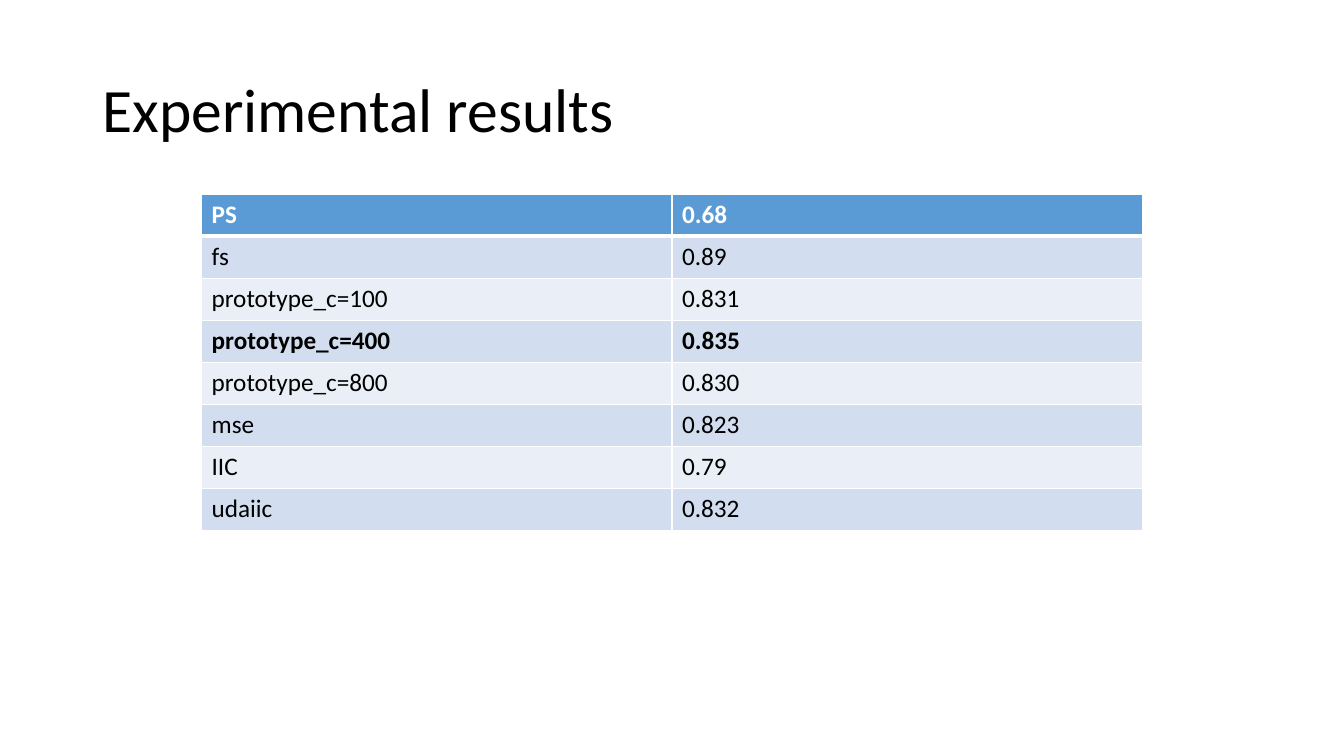
import pptx
import pptx.dml.color
import pptx.enum.text
import pptx.oxml
import pptx.oxml.ns
import pptx.util

PX = 9525  # EMU per pixel at 96 pixels to the inch
FONT = "Calibri"
RESULTS = [
    ("PS", "0.68"),
    ("fs", "0.89"),
    ("prototype_c=100", "0.831"),
    ("prototype_c=400", "0.835"),
    ("prototype_c=800", "0.830"),
    ("mse", "0.823"),
    ("IIC", "0.79"),
    ("udaiic", "0.832"),
]
BEST = "prototype_c=400"
COLUMN_WIDTH, ROW_HEIGHT = 448, 40


def color(value):
    return pptx.dml.color.RGBColor.from_string(value)


def add_run(para, text, size, value, bold=False):
    span = para.add_run()
    span.text = text
    span.font.name = FONT
    span.font.size = pptx.util.Pt(size)
    span.font.bold = bold
    span.font.color.rgb = color(value)


deck = pptx.Presentation()
deck.slide_width, deck.slide_height = 1280 * PX, 720 * PX
slide = deck.slides.add_slide(deck.slide_layouts[5])

# Title
title = slide.shapes.title
title.left, title.top, title.width, title.height = [n * PX for n in (88, 38, 1104, 139)]
title.text_frame.auto_size = pptx.enum.text.MSO_AUTO_SIZE.NONE
title.text_frame.vertical_anchor = pptx.enum.text.MSO_ANCHOR.MIDDLE
heading = title.text_frame.paragraphs[0]
heading.alignment = pptx.enum.text.PP_ALIGN.LEFT
heading.line_spacing = 0.9
add_run(heading, "Experimental results", 44, "000000")

# Results table: header row, then banded rows
frame = slide.shapes.add_table(
    len(RESULTS), 2, 192 * PX, 185 * PX, 2 * COLUMN_WIDTH * PX, len(RESULTS) * ROW_HEIGHT * PX
)
table = frame.table
for column in table.columns:
    column.width = COLUMN_WIDTH * PX

for i, result in enumerate(RESULTS):
    table.rows[i].height = ROW_HEIGHT * PX
    header = i == 0
    fill = "5B9BD5" if header else ("EAEFF7", "D2DEEF")[i % 2]
    text_color = "FFFFFF" if header else "000000"
    # The line below the header is shared with the top of the first data row
    borders = {"L": 1, "R": 1, "T": 3 if i == 1 else 1, "B": 3 if header else 1}
    for j, text in enumerate(result):
        cell = table.cell(i, j)
        properties = cell._tc.get_or_add_tcPr()
        for side, width in borders.items():
            properties.append(pptx.oxml.parse_xml(
                f'<a:ln{side} {pptx.oxml.ns.nsdecls("a")} w="{pptx.util.Pt(width)}">'
                f'<a:solidFill><a:srgbClr val="FFFFFF"/></a:solidFill></a:ln{side}>'
            ))
        cell.fill.solid()
        cell.fill.fore_color.rgb = color(fill)
        add_run(cell.text_frame.paragraphs[0], text, 18, text_color, header or result[0] == BEST)

deck.save("out.pptx")
